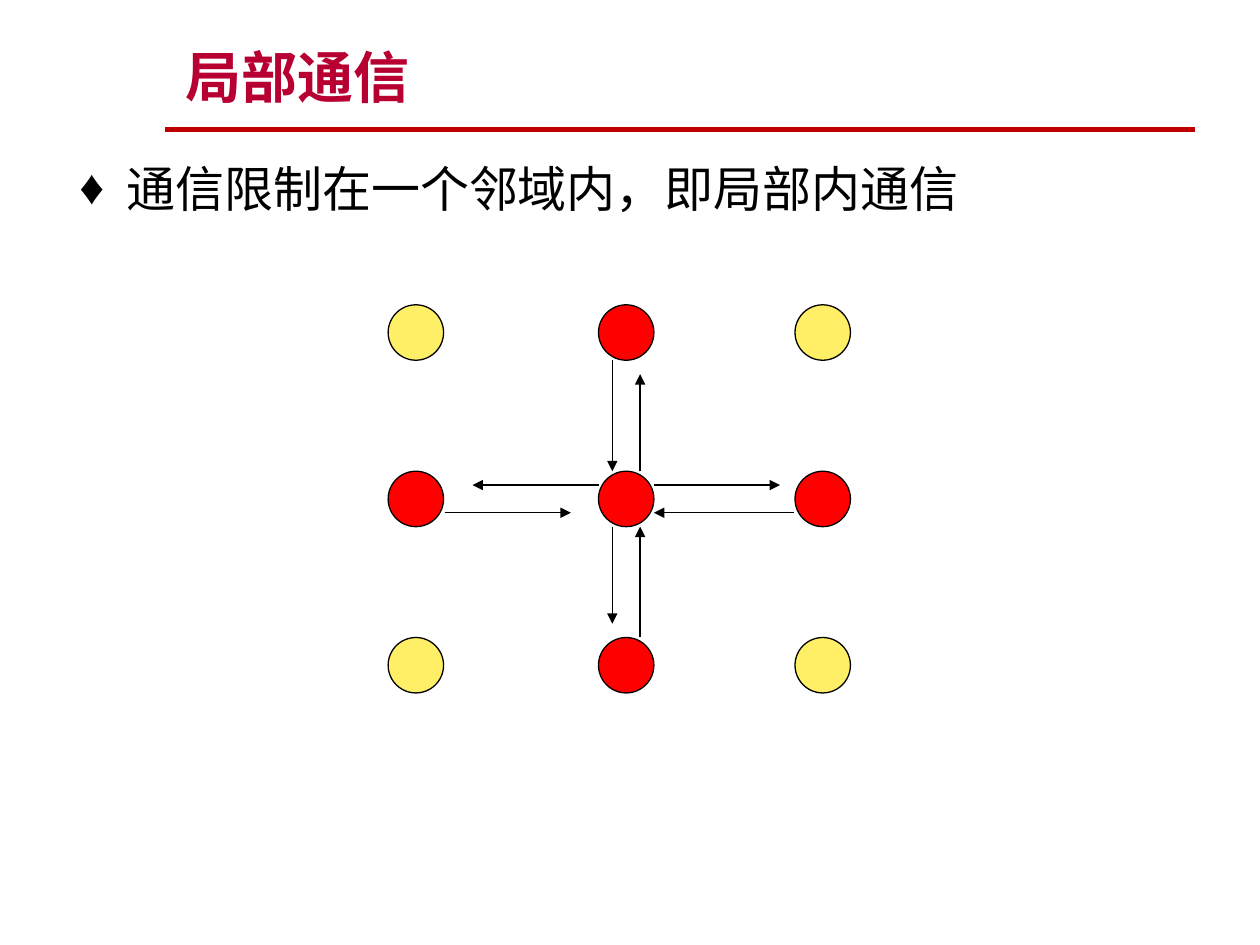
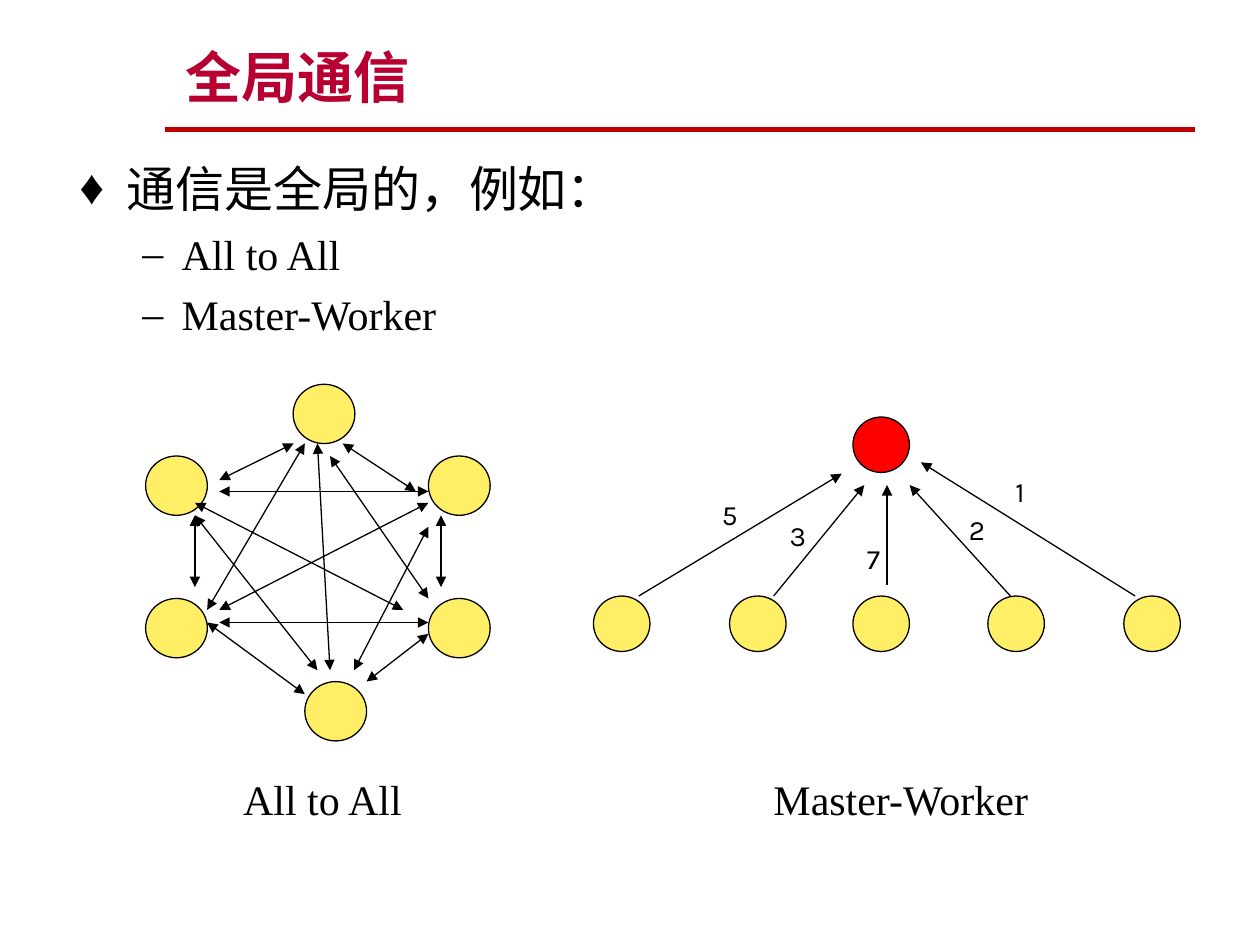
from lxml.etree import SubElement
from pptx import Presentation
from pptx.dml.color import RGBColor
from pptx.enum.shapes import MSO_CONNECTOR as Connector, MSO_SHAPE as Shape
from pptx.enum.text import MSO_ANCHOR as Anchor, MSO_AUTO_SIZE as AutoSize, PP_ALIGN as Align
from pptx.oxml.ns import qn
from pptx.util import Pt

# Shared style
BLACK, RED, YELLOW = "000000", "FF0000", "FFEF66"
TITLE_COLOR, RULE_COLOR = "B70031", "C00000"
SANS, SERIF, DIGIT = "Arial", "Times New Roman", "Karla"
# level: bullet, text indent, hanging, space before, size, font
BULLETS = [("♦", 27, 27, 7, 28, SANS), ("–", 58.5, 22.5, 6, 24, SERIF)]

# Slide 1: local communication
LOCAL_TITLE = "局部通信"
LOCAL_POINTS = [(0, "通信限制在一个邻域内，即局部内通信")]
GRID_LEFTS, GRID_TOPS = (221.8, 342, 454.3), (174.2, 269.3, 364.3)
GRID_SIZE = (31.7, 31.7)
NEIGHBOR_ARROWS = [  # x1, y1, x2, y2
    (365.8, 269.3, 365.8, 213.8), (349.9, 205.9, 349.9, 269.3),
    (373.7, 277.2, 445.7, 277.2), (453.6, 293, 373.7, 293),
    (349.9, 301, 349.9, 356.4), (365.8, 364.3, 365.8, 301),
    (342, 277.2, 270, 277.2), (254.2, 293, 326.2, 293),
]

# Slide 2: global communication
GLOBAL_TITLE = "全局通信"
GLOBAL_POINTS = [(0, "通信是全局的，例如："), (1, "All to All"), (1, "Master-Worker")]
PEERS = [(83.2, 260.6), (83.2, 342), (174.2, 389.5), (244.8, 342), (244.8, 260.6), (167.5, 219.6)]
PEER_SIZE = (35.3, 33.9)
PEER_LINKS = [
    (118.4, 348.5, 174.2, 253.4), (125.3, 348.5, 244.8, 287.3),
    (125.3, 355.7, 244.8, 355.7), (118.4, 355.7, 174.2, 396.7),
    (111.4, 335.5, 111.4, 294.5), (125.3, 274.3, 167.8, 253.4),
    (125.3, 280.8, 244.8, 280.8), (111.4, 287.3, 230.4, 348.5),
    (111.4, 294.5, 181.4, 383), (195.8, 253.4, 237.6, 280.8),
    (188.6, 260.6, 244.8, 342), (181.4, 253.4, 188.6, 383),
    (252, 294.5, 252, 335.5), (244.8, 362.2, 209.5, 389.5),
    (244.8, 301, 202.3, 383),
]
MASTER = (487.4, 238.3)
WORKER_LEFTS, WORKER_TOP = (339.1, 416.9, 487.4, 564.5, 642.2), 340.6
WORKER_SIZE = (32.3, 31.7)
REPORTS = [  # arrow, label, label left, label top
    ((365, 340.6, 481, 270.7), "5", 405.4, 280.8),
    ((442.1, 340.6, 493.9, 277.2), "3", 444.2, 293),
    ((506.9, 334.1, 506.9, 277.2), "7", 488.2, 306),
    ((577.4, 340.6, 519.8, 277.2), "2", 546.5, 289.4),
    ((648.7, 340.6, 526.3, 264.2), "1", 573.1, 267.8),
]
CAPTIONS = [("All to All", 95.8, 142.6), ("Master-Worker", 398.9, 198)]  # text, left, width
CAPTION_TOP = 438.5


def rgb(value):
    return RGBColor.from_string(value)


def add_text(para, text, size, font, color=BLACK, bold=False):
    span = para.add_run()
    span.text = text
    span.font.size, span.font.name, span.font.bold = Pt(size), font, bold
    span.font.color.rgb = rgb(color)


def add_node(slide, left, top, size, fill):
    node = slide.shapes.add_shape(Shape.OVAL, *map(Pt, (left, top, *size)))
    node.shadow.inherit = False
    node.fill.solid()
    node.fill.fore_color.rgb = rgb(fill)
    node.line.color.rgb = rgb(BLACK)
    node.line.width = Pt(0.75)


def add_line(slide, ends, color=BLACK, weight=0.75, arrows=()):
    line = slide.shapes.add_connector(Connector.STRAIGHT, *map(Pt, ends))
    line.line.color.rgb = rgb(color)
    line.line.width = Pt(weight)
    properties = line.element.spPr
    for arrow in arrows:
        SubElement(properties.get_or_add_ln(), qn(f"a:{arrow}")).set("type", "triangle")
    SubElement(properties, qn("a:effectLst"))


def add_label(slide, text, left, top, width, height, size, font, indent=0):
    box = slide.shapes.add_textbox(*map(Pt, (left, top, width, height)))
    box.text_frame.word_wrap = False
    box.text_frame.auto_size = AutoSize.SHAPE_TO_FIT_TEXT
    para = box.text_frame.paragraphs[0]
    para._p.get_or_add_pPr().set("marL", str(Pt(indent)))
    add_text(para, text, size, font)


def add_points(slide, points):
    box = slide.shapes.add_textbox(Pt(38.2), Pt(87.1), Pt(644.4), Pt(428.4))
    frame = box.text_frame
    frame.word_wrap = True
    for index, (level, text) in enumerate(points):
        para = frame.add_paragraph() if index else frame.paragraphs[0]
        bullet, indent, hanging, before, size, font = BULLETS[level]
        para.level = level
        para.space_before = Pt(before)
        properties = para._p.get_or_add_pPr()
        properties.set("marL", str(Pt(indent)))
        properties.set("indent", str(Pt(-hanging)))
        SubElement(SubElement(properties, qn("a:buClr")), qn("a:srgbClr"), val=BLACK)
        SubElement(properties, qn("a:buFont"), typeface=SERIF)
        SubElement(properties, qn("a:buChar"), char=bullet)
        add_text(para, text, size, font)


def start_slide(deck, title_text, points):
    slide = deck.slides.add_slide(deck.slide_layouts[5])
    # Rule under the title
    add_line(slide, (94.3, 74.2, 682.6, 74.2), RULE_COLOR, 3)
    add_points(slide, points)
    # Title
    title = slide.shapes.title
    title.left, title.top, title.width, title.height = map(Pt, (98.6, 18, 576, 48.2))
    frame = title.text_frame
    frame.auto_size, frame.vertical_anchor = AutoSize.NONE, Anchor.BOTTOM
    para = frame.paragraphs[0]
    para.alignment = Align.LEFT
    add_text(para, title_text, 32, SANS, TITLE_COLOR, True)
    return slide


def build_local(deck):
    slide = start_slide(deck, LOCAL_TITLE, LOCAL_POINTS)
    # The centre and its four neighbours are red
    for row, top in enumerate(GRID_TOPS):
        for column, left in enumerate(GRID_LEFTS):
            add_node(slide, left, top, GRID_SIZE, RED if 1 in (row, column) else YELLOW)
    for ends in NEIGHBOR_ARROWS:
        add_line(slide, ends, arrows=["tailEnd"])


def build_global(deck):
    slide = start_slide(deck, GLOBAL_TITLE, GLOBAL_POINTS)
    # All to all
    for left, top in PEERS:
        add_node(slide, left, top, PEER_SIZE, YELLOW)
    for ends in PEER_LINKS:
        add_line(slide, ends, arrows=["headEnd", "tailEnd"])
    # Master and workers
    add_node(slide, *MASTER, WORKER_SIZE, RED)
    for left in WORKER_LEFTS:
        add_node(slide, left, WORKER_TOP, WORKER_SIZE, YELLOW)
    for ends, text, left, top in REPORTS:
        add_line(slide, ends, arrows=["tailEnd"])
        add_label(slide, text, left, top, 23, 26.6, 16, DIGIT)
    # Captions
    for text, left, width in CAPTIONS:
        add_label(slide, text, left, CAPTION_TOP, width, 36, 24, SERIF, indent=36)


def main():
    deck = Presentation()
    deck.slide_width, deck.slide_height = Pt(720), Pt(540)
    build_local(deck)
    build_global(deck)
    deck.save("out.pptx")


if __name__ == "__main__":
    main()
